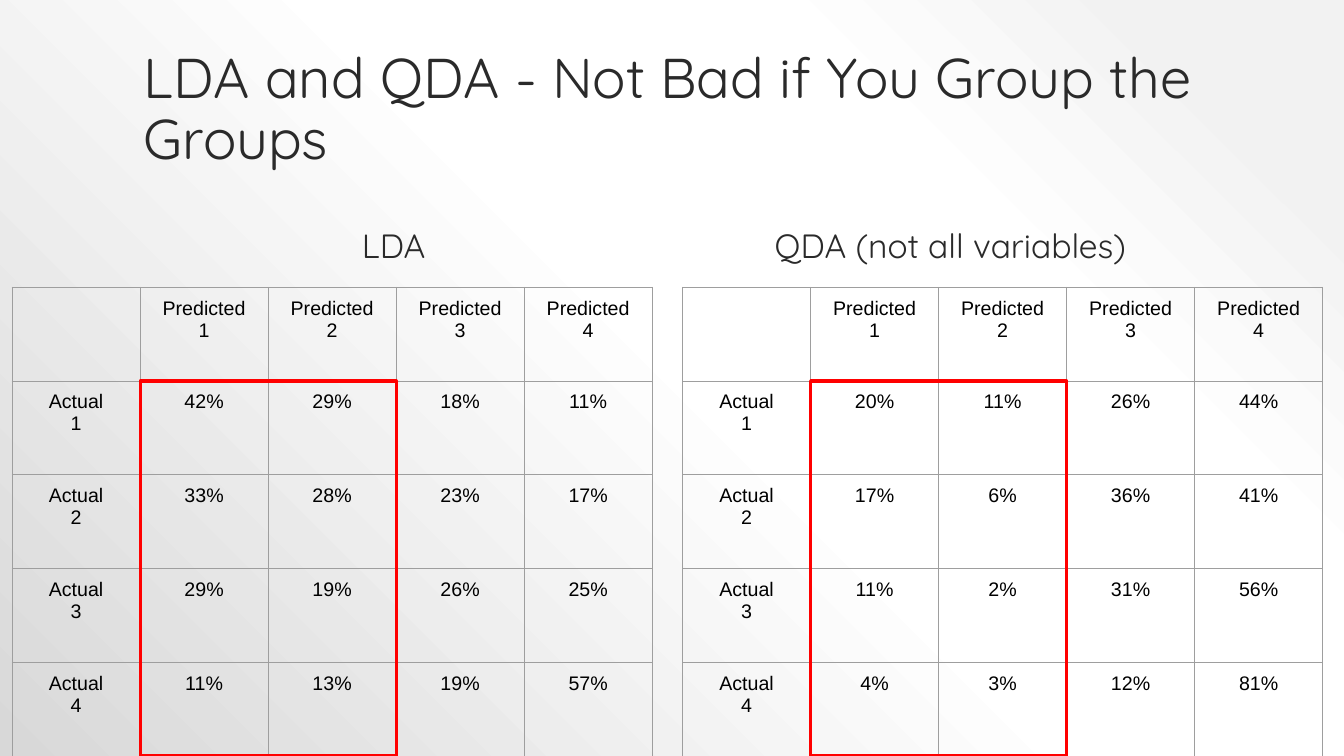
from dataclasses import dataclass

from pptx import Presentation
from pptx.dml.color import RGBColor
from pptx.enum.shapes import MSO_SHAPE
from pptx.enum.text import MSO_ANCHOR, PP_ALIGN
from pptx.oxml import parse_xml
from pptx.oxml.ns import nsdecls, qn
from pptx.util import Inches, Pt


@dataclass(frozen=True)
class Theme:
    heading_font: str = "Quicksand"
    table_font: str = "Arial"
    heading_color: str = "2A2A2A"
    table_color: str = "000000"
    border_color: str = "9E9E9E"
    highlight_color: str = "FF0000"
    title_size: int = 40
    label_size: int = 24
    table_size: int = 14
    border_width: float = 0.75
    highlight_width: float = 2.25
    line_spacing: float = 0.9
    background_stops: tuple = (
        (0, "F2F2F2"), (10, "F2F2F2"), (28, "FFFFFF"), (48, "FFFFFF"), (100, "D8D8D8"))


TABLE_TOP = 2.85
COLUMN_WIDTH = 1.27
ROW_HEIGHT = 0.93
GROUPS = range(1, 5)

MODELS = [
    ("LDA", 1.33, 0.12, [
        (42, 29, 18, 11),
        (33, 28, 23, 17),
        (29, 19, 26, 25),
        (11, 13, 19, 57)]),
    ("QDA (not all variables)", 6.85, 6.77, [
        (20, 11, 26, 44),
        (17, 6, 36, 41),
        (11, 2, 31, 56),
        (4, 3, 12, 81)]),
]


class SlideBuilder:
    def __init__(self, slide, theme):
        self.slide = slide
        self.theme = theme

    def background(self):
        self.slide.background.fill.solid()
        solid = self.slide.element.find(".//" + qn("a:solidFill"))
        stops = "".join(
            f'<a:gs pos="{position * 1000}"><a:srgbClr val="{color}"/></a:gs>'
            for position, color in self.theme.background_stops)
        gradient = parse_xml(
            f'<a:gradFill {nsdecls("a")} rotWithShape="1"><a:gsLst>{stops}</a:gsLst>'
            '<a:path path="circle"><a:fillToRect l="100000" b="100000"/></a:path>'
            '</a:gradFill>')
        solid.getparent().replace(solid, gradient)

    def add_run(self, paragraph, text, font, size, color):
        run = paragraph.add_run()
        run.text = text
        run.font.name = font
        run.font.size = Pt(size)
        run.font.color.rgb = RGBColor.from_string(color)

    def heading(self, text, left, top, width, height, size, anchor, alignment):
        box = self.slide.shapes.add_textbox(
            Inches(left), Inches(top), Inches(width), Inches(height))
        frame = box.text_frame
        frame.word_wrap = True
        frame.vertical_anchor = anchor
        paragraph = frame.paragraphs[0]
        paragraph.alignment = alignment
        paragraph.line_spacing = self.theme.line_spacing
        self.add_run(paragraph, text, self.theme.heading_font, size, self.theme.heading_color)

    def cell(self, cell, lines):
        theme = self.theme
        cell.margin_left = cell.margin_right = Inches(0.1)
        cell.margin_top = cell.margin_bottom = Inches(0.1)
        properties = cell._tc.get_or_add_tcPr()
        for side in ("lnL", "lnR", "lnT", "lnB"):
            properties.append(parse_xml(
                f'<a:{side} {nsdecls("a")} w="{Pt(theme.border_width)}"><a:solidFill>'
                f'<a:srgbClr val="{theme.border_color}"/></a:solidFill></a:{side}>'))
        cell.fill.background()
        frame = cell.text_frame
        for index, line in enumerate(lines):
            paragraph = frame.add_paragraph() if index else frame.paragraphs[0]
            paragraph.alignment = PP_ALIGN.CENTER
            self.add_run(paragraph, line, theme.table_font, theme.table_size, theme.table_color)

    def table(self, rows, left, top):
        row_count, column_count = len(rows), len(rows[0])
        table = self.slide.shapes.add_table(
            row_count, column_count, Inches(left), Inches(top),
            Inches(column_count * COLUMN_WIDTH), Inches(row_count * ROW_HEIGHT)).table
        table.first_row = table.horz_banding = False
        for column in table.columns:
            column.width = Inches(COLUMN_WIDTH)
        for row, contents in zip(table.rows, rows):
            row.height = Inches(ROW_HEIGHT)
            for cell, lines in zip(row.cells, contents):
                self.cell(cell, lines)

    def highlight(self, left, top, width, height):
        shape = self.slide.shapes.add_shape(
            MSO_SHAPE.FLOWCHART_PROCESS,
            Inches(left), Inches(top), Inches(width), Inches(height))
        shape.shadow.inherit = False
        shape.fill.background()
        shape.line.color.rgb = RGBColor.from_string(self.theme.highlight_color)
        shape.line.width = Pt(self.theme.highlight_width)


def confusion_rows(percentages):
    header = [()] + [("Predicted", str(group)) for group in GROUPS]
    body = [[("Actual", str(group))] + [(f"{value}%",) for value in values]
            for group, values in zip(GROUPS, percentages)]
    return [header] + body


def main():
    presentation = Presentation()
    presentation.slide_width = Inches(13.33)
    presentation.slide_height = Inches(7.5)
    theme = Theme()
    builder = SlideBuilder(presentation.slides.add_slide(presentation.slide_layouts[6]), theme)
    builder.background()
    builder.heading("LDA and QDA - Not Bad if You Group the Groups", 1.33, 0.3, 10.67, 1.45,
                    theme.title_size, MSO_ANCHOR.BOTTOM, PP_ALIGN.LEFT)
    for name, label_left, table_left, percentages in MODELS:
        builder.heading(name, label_left, 2, 5.15, 0.92,
                        theme.label_size, MSO_ANCHOR.MIDDLE, PP_ALIGN.CENTER)
        builder.table(confusion_rows(percentages), table_left, TABLE_TOP)
    for name, label_left, table_left, percentages in MODELS:
        builder.highlight(table_left + COLUMN_WIDTH, TABLE_TOP + ROW_HEIGHT,
                          2 * COLUMN_WIDTH, len(GROUPS) * ROW_HEIGHT)
    presentation.save("out.pptx")


if __name__ == "__main__":
    main()
